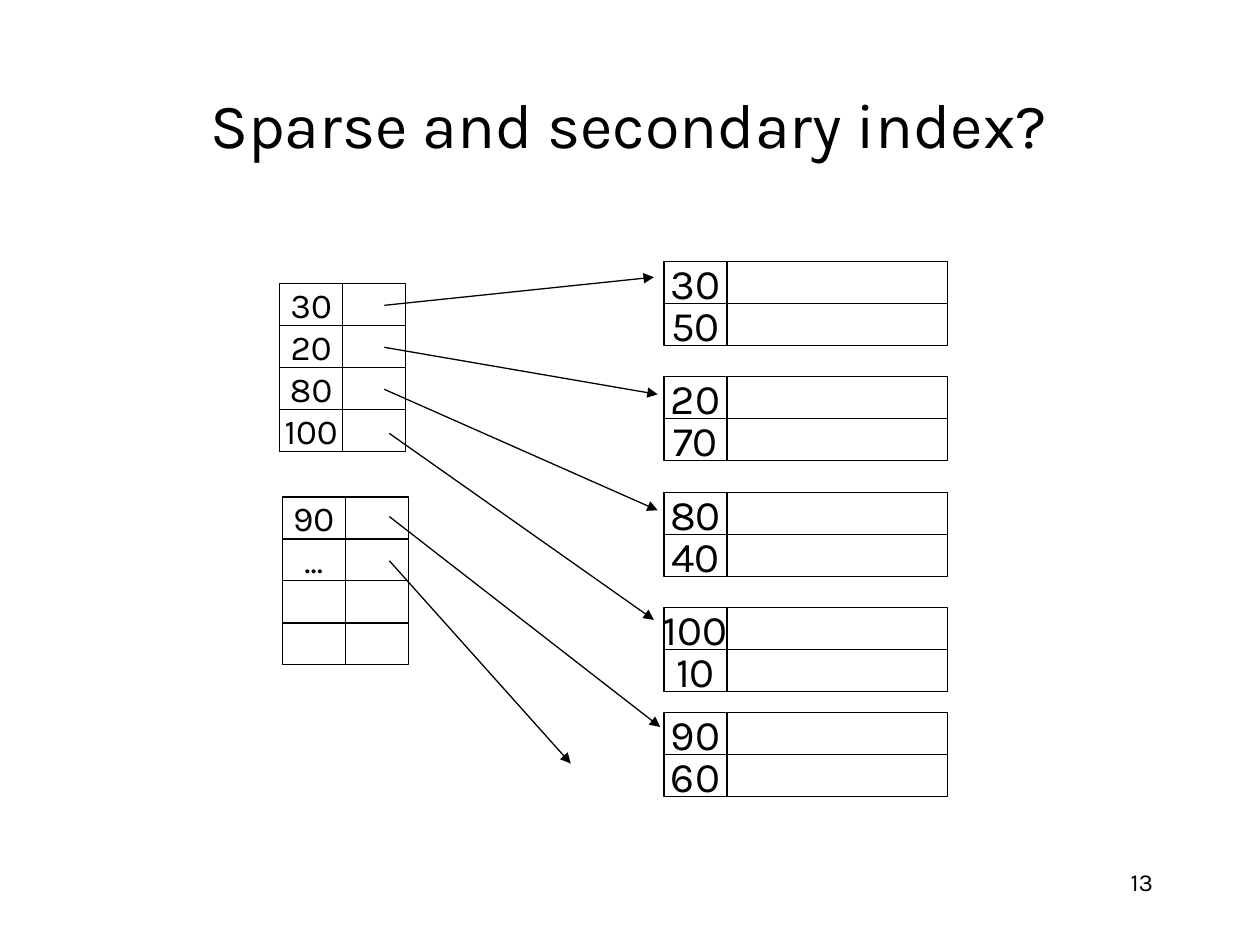
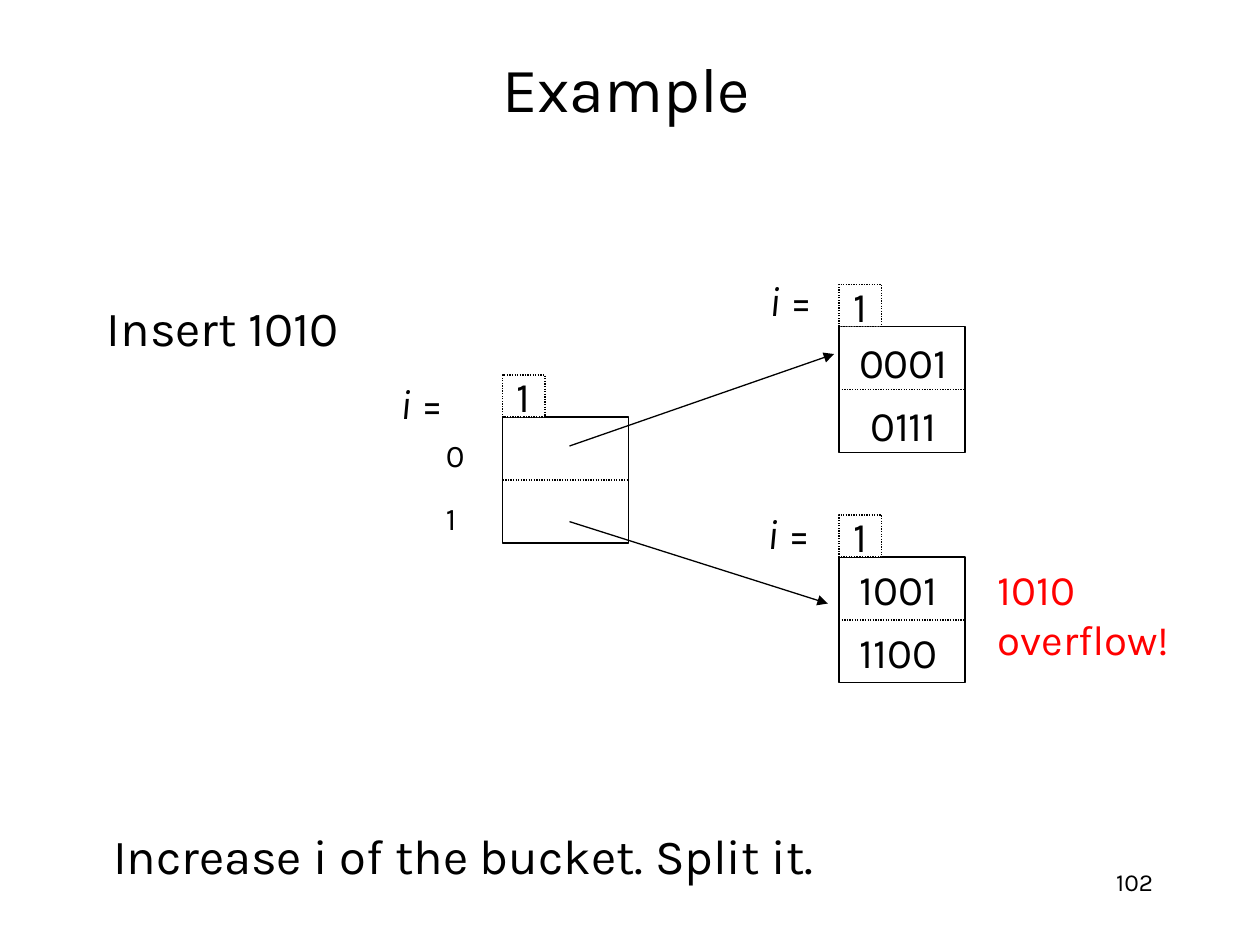
import dataclasses

import pptx
import pptx.dml.color
import pptx.enum.dml
import pptx.enum.shapes
import pptx.enum.text
import pptx.oxml.ns
import pptx.util
from lxml import etree

ALIGN = pptx.enum.text.PP_ALIGN
ANCHOR = pptx.enum.text.MSO_ANCHOR
DOTS = pptx.enum.dml.MSO_LINE.ROUND_DOT


@dataclasses.dataclass(frozen=True)
class Theme:
    font: str = "Karla"
    ink: str = "000000"
    paper: str = "FFFFFF"
    alert: str = "FF0000"
    title: int = 36
    body: int = 28
    value: int = 24
    key: int = 20
    small: int = 18
    page: int = 14
    line: float = 0.75


THEME = Theme()
WIDTH, HEIGHT = 10, 7.5
COLS, ROWS = 20, 22.5


def rgb(value):
    return pptx.dml.color.RGBColor.from_string(value)


def x(cols):
    return pptx.util.Inches(cols * WIDTH / COLS)


def y(rows):
    return pptx.util.Inches(rows * HEIGHT / ROWS)


def write(sp, text, size=THEME.value, color=THEME.ink, align=ALIGN.LEFT,
          anchor=ANCHOR.TOP, wrap=False, italic_first=False):
    tf = sp.text_frame
    tf.word_wrap = wrap
    tf.vertical_anchor = anchor
    for n, line in enumerate(text.split("\n")):
        p = tf.paragraphs[0] if n == 0 else tf.add_paragraph()
        p.alignment = align
        parts = [line[:1], line[1:]] if italic_first else [line]
        for k, part in enumerate(parts):
            r = p.add_run()
            r.text = part
            r.font.name = THEME.font
            r.font.size = pptx.util.Pt(size)
            r.font.color.rgb = rgb(color)
            r.font.italic = italic_first and k == 0


def add_text(s, col, row, cols, rows, text, **fmt):
    sp = s.shapes.add_textbox(x(col), y(row), x(cols), y(rows))
    write(sp, text, **fmt)
    if not fmt.get("wrap"):
        sp.text_frame.auto_size = pptx.enum.text.MSO_AUTO_SIZE.SHAPE_TO_FIT_TEXT


def style_line(line, dash=None):
    line.color.rgb = rgb(THEME.ink)
    line.width = pptx.util.Pt(THEME.line)
    if dash:
        line.dash_style = dash


def add_cell(s, col, row, cols, rows, text="", size=THEME.value, dash=None):
    sp = s.shapes.add_shape(pptx.enum.shapes.MSO_SHAPE.RECTANGLE,
                            x(col), y(row), x(cols), y(rows))
    sp.shadow.inherit = False
    sp.fill.solid()
    sp.fill.fore_color.rgb = rgb(THEME.paper)
    style_line(sp.line, dash)
    if text:
        write(sp, text, size=size, align=ALIGN.CENTER, anchor=ANCHOR.MIDDLE)


def add_line(s, start, end, dash=None, arrow=False):
    c = s.shapes.add_connector(pptx.enum.shapes.MSO_CONNECTOR.STRAIGHT,
                               x(start[0]), y(start[1]), x(end[0]), y(end[1]))
    style_line(c.line, dash)
    qn = pptx.oxml.ns.qn
    if arrow:
        etree.SubElement(c.line._get_or_add_ln(), qn("a:tailEnd"), type="triangle")
    etree.SubElement(c._element.spPr, qn("a:effectLst"))


def add_block(s, col, row, keys, pointer_cols, size):
    for n, key in enumerate(keys):
        add_cell(s, col, row + n, 1, 1, key, size=size)
        add_cell(s, col + 1, row + n, pointer_cols, 1)


def add_bucket(s, col, row, label_at, values=(), shift=(0, 0)):
    add_cell(s, col, row, 2, 3)
    add_cell(s, col, row - 1, 0.67, 1, "1", dash=DOTS)
    add_line(s, (col, row + 1.5), (col + 2, row + 1.5), dash=DOTS)
    add_text(s, *label_at, 1.12, 1.5, "i =", italic_first=True)
    for n, value in enumerate(values):
        add_text(s, col + shift[0], row + shift[1] + 1.5 * n, 1.92, 1.5, value,
                 align=ALIGN.CENTER, anchor=ANCHOR.MIDDLE)


def add_slide(prs, title, page, col, row, rows):
    s = prs.slides.add_slide(prs.slide_layouts[6])
    add_text(s, col, row, 17, rows, title, size=THEME.title,
             align=ALIGN.CENTER, anchor=ANCHOR.MIDDLE, wrap=True)
    add_text(s, 14.34, 20.49, 4.16, 1.5, page, size=THEME.page,
             align=ALIGN.RIGHT, wrap=True)
    return s


def sparse_index(prs):
    s = add_slide(prs, "Sparse and secondary index?", "13", 1.48, 1.74, 2.4)
    records = [("30", "50"), ("20", "70"), ("80", "40"), ("100", "10")]
    for n, keys in enumerate(records):
        add_block(s, 10.54, 6.22 + 2.75 * n, keys, 3.5, THEME.value)
    add_block(s, 10.54, 16.97, ("90", "60"), 3.5, THEME.value)
    add_block(s, 4.44, 6.75, ("30", "20", "80", "100"), 1, THEME.key)
    add_block(s, 4.48, 11.83, ("90", "...", "", ""), 1, THEME.key)
    pointers = [((6.1, 7.27), (10.38, 6.6)), ((6.1, 8.27), (10.44, 9.39)),
                ((6.1, 9.27), (10.44, 12.15)), ((6.18, 10.32), (10.38, 14.76)),
                ((6.18, 12.3), (10.48, 17.31)), ((6.18, 13.35), (9.06, 18.18))]
    for start, end in pointers:
        add_line(s, start, end, arrow=True)


def bucket_overflow(prs):
    s = add_slide(prs, "Example", "102", 1.44, 0.93, 2.28)
    add_text(s, 1.5, 6.93, 5, 1.7, "Insert 1010", size=THEME.body, wrap=True)
    add_bucket(s, 13.32, 7.77, (12.02, 6.39), ("0001", "0111"), (0.06, 0.09))
    add_bucket(s, 13.32, 13.26, (11.98, 11.94), ("1001", "1100"), (-0.02, 0))
    add_bucket(s, 7.98, 9.93, (6.16, 8.85))
    for n, bit in enumerate("01"):
        add_text(s, 6.88, 10.23 + 1.5 * n, 0.68, 1.2, bit, size=THEME.small)
    add_line(s, (9.04, 10.62), (13.24, 8.43), arrow=True)
    add_line(s, (9.04, 12.42), (13.14, 14.37), arrow=True)
    add_text(s, 15.64, 13.26, 3.3, 2.7, "1010\noverflow!", color=THEME.alert)
    add_text(s, 1.6, 19.5, 11.8, 1.71, "Increase i of the bucket. Split it.",
             size=THEME.body)


def main():
    prs = pptx.Presentation()
    prs.slide_width = x(COLS)
    prs.slide_height = y(ROWS)
    sparse_index(prs)
    bucket_overflow(prs)
    prs.save("out.pptx")


if __name__ == "__main__":
    main()
